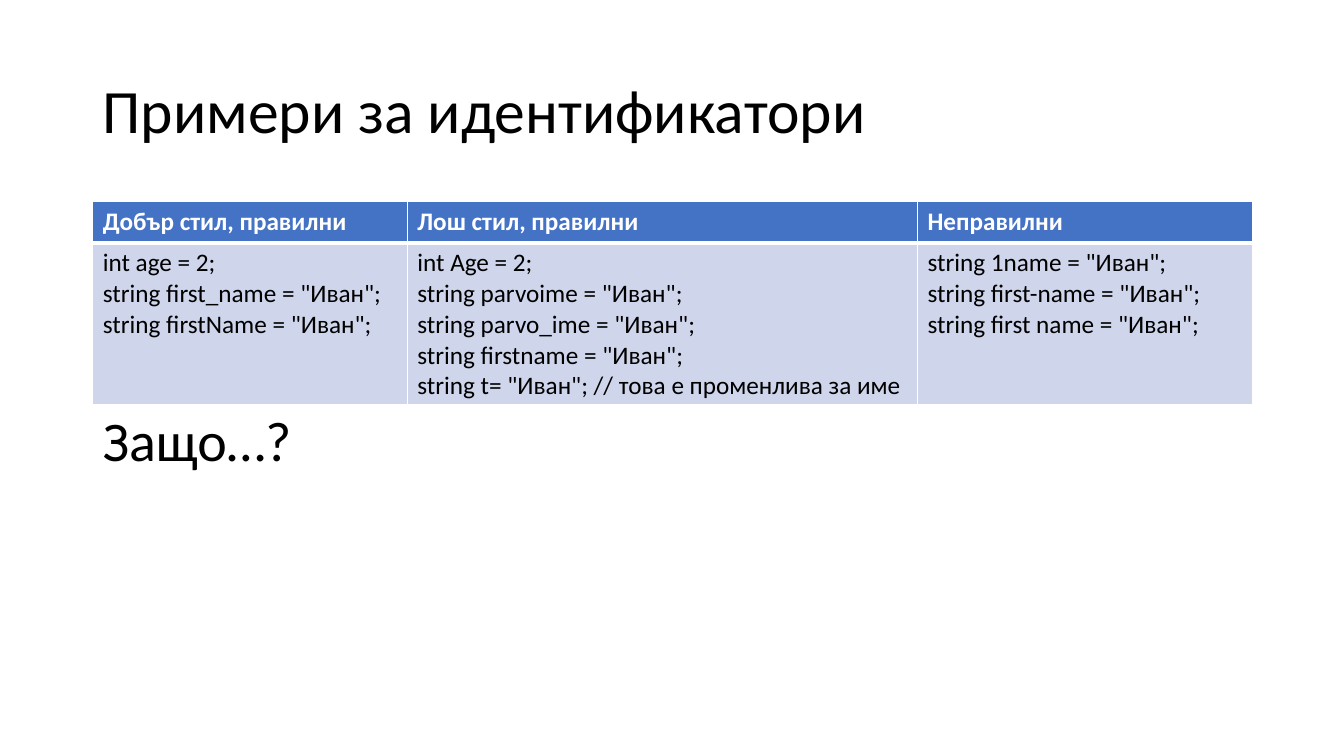
import pptx
import pptx.dml.color
import pptx.enum.text
import pptx.oxml.ns
import pptx.util
from lxml import etree

PX = 9144
ANCHOR = pptx.enum.text.MSO_ANCHOR
HEADER = {"size": pptx.util.Pt(18), "name": "Calibri", "bold": True}
BODY = {**HEADER, "bold": False}
COLUMNS = [
    (312, "Добър стил, правилни", [
        "int age = 2;",
        'string first_name = "Иван";',
        'string firstName = "Иван";',
    ]),
    (506, "Лош стил, правилни", [
        "int Age = 2;",
        'string parvoime = "Иван";',
        'string parvo_ime = "Иван";',
        'string firstname = "Иван";',
        'string t= "Иван"; // това е променлива за име',
    ]),
    (332, "Неправилни", [
        'string 1name = "Иван";',
        'string first-name = "Иван";',
        'string first name = "Иван";',
    ]),
]


def rgb(color):
    """Turn a hex string into a colour."""
    return pptx.dml.color.RGBColor.from_string(color)


def write_lines(tf, lines, font, color, **spacing):
    """Write one formatted paragraph per line."""
    for i, line in enumerate(lines):
        p = tf.paragraphs[0] if i == 0 else tf.add_paragraph()
        for key, value in spacing.items():
            setattr(p, key, value)
        r = p.add_run()
        r.text = line
        for key, value in font.items():
            setattr(r.font, key, value)
        r.font.color.rgb = rgb(color)


def add_text(s, box, text, size, anchor):
    """Place a single line of large text in the box."""
    tf = s.shapes.add_textbox(*[v * PX for v in box]).text_frame
    tf.word_wrap = True
    tf.vertical_anchor = anchor
    font = {"size": pptx.util.Pt(size), "name": "Calibri"}
    write_lines(tf, [text], font, "000000", line_spacing=0.9)


def add_borders(cell, widths):
    """Draw white cell borders of the given widths in points."""
    tcPr = cell._tc.get_or_add_tcPr()
    for side, width in widths.items():
        ln = etree.SubElement(tcPr, pptx.oxml.ns.qn(f"a:ln{side}"), w=str(pptx.util.Pt(width)))
        fill = etree.SubElement(ln, pptx.oxml.ns.qn("a:solidFill"))
        etree.SubElement(fill, pptx.oxml.ns.qn("a:srgbClr"), val="FFFFFF")


def fill_cell(cell, lines, font, color, fill, widths):
    """Give a cell its borders, fill and text."""
    add_borders(cell, widths)
    cell.fill.solid()
    cell.fill.fore_color.rgb = rgb(fill)
    write_lines(cell.text_frame, lines, font, color)


def add_examples(s, box, header_height):
    """Place the table of identifier examples in the box."""
    table = s.shapes.add_table(2, len(COLUMNS), *[v * PX for v in box]).table
    table.rows[0].height = header_height * PX
    table.rows[1].height = (box[3] - header_height) * PX
    for i, (width, title, lines) in enumerate(COLUMNS):
        table.columns[i].width = width * PX
        fill_cell(table.cell(0, i), [title], HEADER, "FFFFFF", "4472C4",
                  {"L": 1, "R": 1, "T": 1, "B": 3})
        fill_cell(table.cell(1, i), lines, BODY, "000000", "CFD5EA",
                  {"L": 1, "R": 1, "T": 3, "B": 1})


def main():
    """Build the slide and save it."""
    prs = pptx.Presentation()
    prs.slide_width, prs.slide_height = 1333 * PX, 750 * PX
    s = prs.slides.add_slide(prs.slide_layouts[6])
    add_text(s, (92, 40, 1150, 145), "Примери за идентификатори", 44, ANCHOR.MIDDLE)
    add_examples(s, (92, 200, 1150, 201), 41)
    add_text(s, (92, 405, 1150, 271), "Защо…?", 40, ANCHOR.TOP)
    prs.save("out.pptx")


if __name__ == "__main__":
    main()
